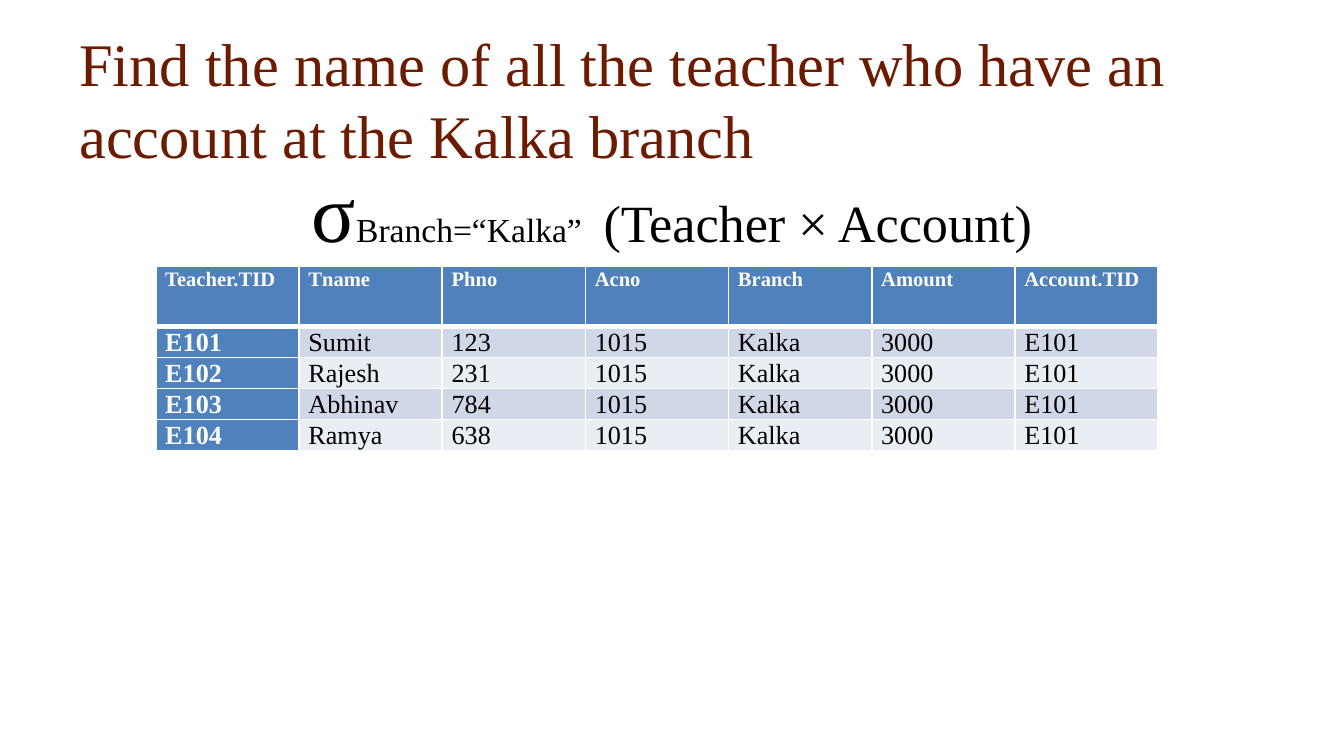
from lxml.etree import SubElement
from pptx import Presentation
from pptx.dml.color import RGBColor
from pptx.enum.text import MSO_ANCHOR, MSO_AUTO_SIZE, PP_ALIGN
from pptx.oxml.ns import qn
from pptx.util import Inches, Pt

THEME = {
    "font": "Times New Roman",
    "title": "6C1A00",
    "text": "000000",
    "light": "FFFFFF",
    "accent": "4F81BD",
    "bands": ["D0D8E8", "E9EDF4"],
    "title_size": 32.4,
    "formula_sizes": [44, 18, 28],
    "header_size": 11,
    "cell_size": 14,
}
FORMULA = ["σ", "Branch=“Kalka” ", " (Teacher × Account)"]
HEADERS = ["Teacher.TID", "Tname", "Phno", "Acno", "Branch", "Amount", "Account.TID"]
TEACHERS = [("E101", "Sumit", "123"), ("E102", "Rajesh", "231"),
            ("E103", "Abhinav", "784"), ("E104", "Ramya", "638")]
ACCOUNT = ("1015", "Kalka", "3000", "E101")
ROWS = [HEADERS] + [teacher + ACCOUNT for teacher in TEACHERS]


def add_span(para, text, size, color, bold=False):
    span = para.add_run()
    span.text = text
    for name, value in {"name": THEME["font"], "size": Pt(size), "bold": bold}.items():
        setattr(span.font, name, value)
    span.font.color.rgb = RGBColor.from_string(color)


def add_border(cell, side, width):
    line = SubElement(cell._tc.get_or_add_tcPr(), qn(f"a:ln{side}"), w=str(Pt(width)))
    fill = SubElement(line, qn("a:solidFill"))
    SubElement(fill, qn("a:srgbClr"), val=THEME["light"])


deck = Presentation()
deck.slide_width, deck.slide_height = Inches(10), Inches(10 * 9 / 16)
page = deck.slides.add_slide(deck.slide_layouts[1])
title, body = page.placeholders

margin = 0.049
for box, top, height, anchor in [(title, 0.055, 0.15, MSO_ANCHOR.MIDDLE),
                                 (body, 0.203, 0.743, MSO_ANCHOR.TOP)]:
    box.left = int(deck.slide_width * margin)
    box.width = int(deck.slide_width * (1 - 2 * margin))
    box.top = int(deck.slide_height * top)
    box.height = int(deck.slide_height * height)
    frame_format = {"word_wrap": True, "auto_size": MSO_AUTO_SIZE.NONE,
                    "vertical_anchor": anchor}
    for name, value in frame_format.items():
        setattr(box.text_frame, name, value)

para = title.text_frame.paragraphs[0]
para.alignment = PP_ALIGN.LEFT
para.line_spacing = 1.0
add_span(para, "Find the name of all the teacher who have an account at the Kalka branch",
         THEME["title_size"], THEME["title"])

para = body.text_frame.paragraphs[0]
para.alignment = PP_ALIGN.CENTER
para.space_before = Pt(4.4)
props = para._p.get_or_add_pPr()
for name in ("marL", "indent"):
    props.set(name, "0")
SubElement(props, qn("a:buNone"))
for text, size in zip(FORMULA, THEME["formula_sizes"]):
    add_span(para, text, size, THEME["text"])

column_width, header_height, row_height = Inches(7.46 / 7), Inches(0.45), Inches(0.22)
table = page.shapes.add_table(
    len(ROWS), len(HEADERS), Inches(1.16), Inches(1.98),
    column_width * len(HEADERS), header_height + row_height * len(TEACHERS)).table
for column in table.columns:
    column.width = column_width

cell_format = {"margin_left": Inches(0.07), "margin_right": Inches(0.07),
               "margin_top": 0, "margin_bottom": 0}
para_format = {"alignment": PP_ALIGN.JUSTIFY, "line_spacing": 1.07, "space_after": Pt(8)}
for row_index, values in enumerate(ROWS):
    is_header = row_index == 0
    table.rows[row_index].height = header_height if is_header else row_height
    size = THEME["header_size"] if is_header else THEME["cell_size"]
    for column_index, text in enumerate(values):
        cell = table.cell(row_index, column_index)
        strong = is_header or column_index == 0
        for name, value in cell_format.items():
            setattr(cell, name, value)
        for side in "LRTB":
            thick = (row_index, side) in [(0, "B"), (1, "T")]
            add_border(cell, side, 3 if thick else 1)
        cell.fill.solid()
        fill = THEME["accent"] if strong else THEME["bands"][(row_index - 1) % 2]
        cell.fill.fore_color.rgb = RGBColor.from_string(fill)
        para = cell.text_frame.paragraphs[0]
        for name, value in para_format.items():
            setattr(para, name, value)
        add_span(para, text, size, THEME["light"] if strong else THEME["text"], strong)

deck.save("out.pptx")
